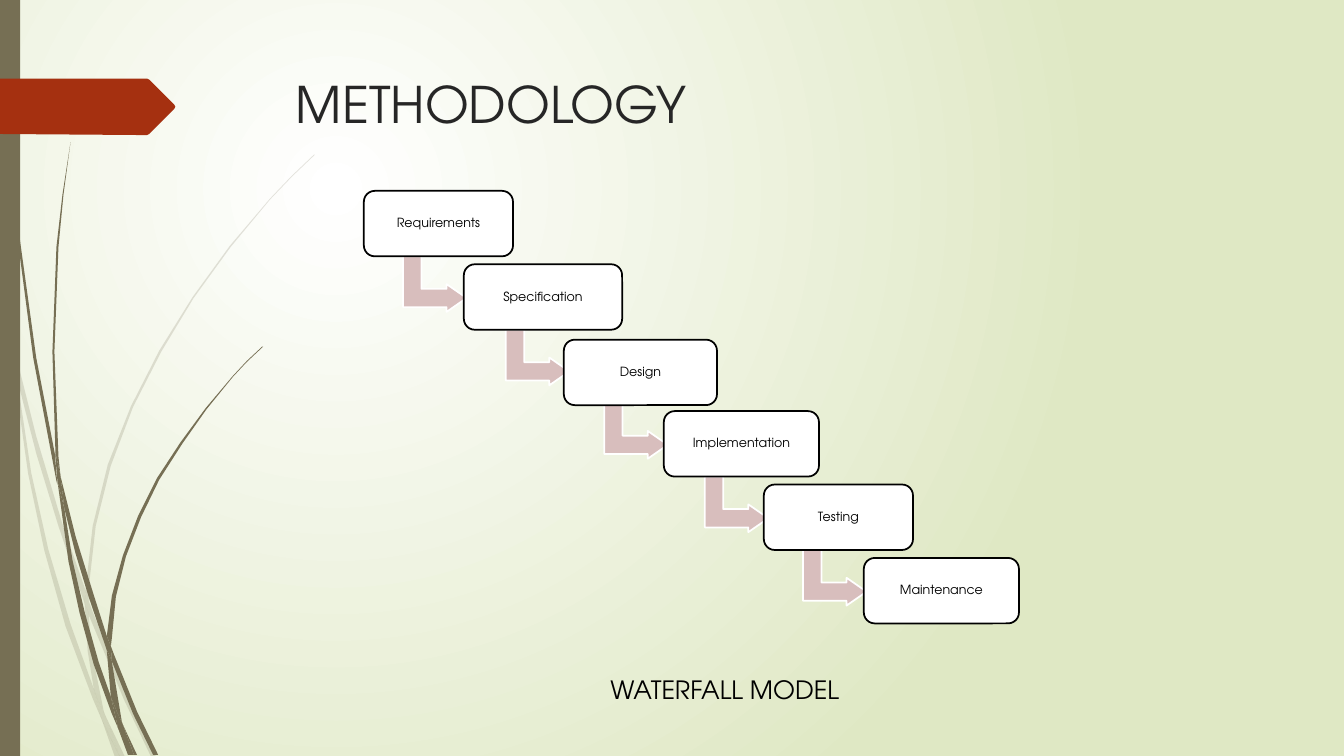
from dataclasses import dataclass

from lxml.etree import SubElement as add_sub
from pptx import Presentation
from pptx.dml.color import RGBColor as Rgb
from pptx.enum.shapes import MSO_SHAPE as Kind
from pptx.enum.text import MSO_ANCHOR as Anchor, PP_ALIGN as Align
from pptx.oxml.ns import qn
from pptx.util import Cm, Pt

HUES = {
    "white": "FFFFFF", "green": "DFE8C4", "olive": "766F54", "red": "A53010",
    "pink": "D8BEBD", "black": "000000", "title": "262626",
}
FONT = "TeX Gyre Adventor"
GRID = Cm(2.54) / 100  # outline points are hundredths of 2.54 cm

Points = list[tuple[int, int]]


@dataclass
class Step:
    name: str
    width: float
    dip: float = 0


@dataclass
class Label:
    text: str
    left: float
    top: float
    width: float
    height: float
    size: int
    hue: str
    align: Align


STEPS = [
    Step("Requirements", 3.76), Step("Specification", 3.99),
    Step("Design", 3.86, 0.05), Step("Implementation", 3.91),
    Step("Testing", 3.76), Step("Maintenance", 3.91),
]
LABELS = [
    Label("METHODOLOGY", 7.21, 1.73, 24.77, 3.56, 36, "title", Align.LEFT),
    Label("WATERFALL MODEL", 8.56, 16.87, 19.41, 1.02, 18, "black", Align.CENTER),
]

# Pale blades of grass
PALE: list[Points] = [
    [(11, 350), (9, 322), (0, 282), (0, 299), (10, 344)],
    [(58, 522), (84, 599), (85, 586), (62, 520), (36, 433), (14, 345), (17, 376), (36, 450)],
    [(92, 607), (88, 596), (88, 610), (123, 694), (150, 751), (155, 751), (127, 692)],
    [(119, 751), (124, 751), (105, 711)],
    [(93, 683), (70, 619), (48, 545), (31, 469), (17, 376), (11, 350), (28, 470),
     (44, 546), (65, 621), (92, 693), (101, 714), (99, 707)],
    [(84, 599), (87, 646), (93, 683), (96, 692), (105, 711), (103, 706), (91, 646),
     (88, 610), (88, 608)],
    [(88, 584), (95, 522), (110, 462), (132, 404), (160, 349), (192, 296), (229, 245),
     (268, 198), (290, 175), (312, 154), (312, 153), (289, 175), (268, 197), (228, 244),
     (191, 295), (158, 348), (130, 403), (107, 461), (92, 522), (85, 584), (85, 586),
     (88, 596)],
    [(101, 714), (114, 751), (119, 751)],
    [(88, 608), (88, 610), (88, 596), (85, 586), (84, 599)],
    [(96, 692), (93, 683), (99, 707), (101, 714), (119, 751), (105, 711)],
]
# Dark blades of grass
DARK: list[Points] = [
    [(7, 110), (17, 233), (33, 355), (56, 477), (57, 481), (55, 457), (55, 453),
     (36, 355), (19, 232), (8, 109), (5, 48), (4, 0), (3, 0), (4, 48)],
    [(88, 592), (106, 645), (106, 633), (106, 631), (93, 590), (75, 532), (60, 472),
     (64, 505), (75, 549)],
    [(113, 649), (110, 641), (111, 656), (132, 708), (152, 749), (157, 749), (136, 706)],
    [(110, 691), (98, 657), (84, 607), (72, 556), (64, 505), (57, 477), (68, 557),
     (79, 608), (93, 659), (111, 708), (117, 722), (116, 717)],
    [(60, 472), (58, 453), (54, 349), (58, 245), (63, 193), (70, 141), (62, 193),
     (56, 245), (52, 349), (55, 449), (60, 472)],
    [(133, 749), (136, 749), (122, 719)],
    [(57, 477), (64, 505), (60, 472), (55, 449), (55, 453)],
    [(111, 633), (115, 592), (125, 552), (140, 513), (158, 476), (181, 440), (205, 406),
     (231, 374), (245, 359), (261, 344), (260, 344), (245, 358), (231, 373), (204, 405),
     (179, 439), (156, 474), (137, 512), (122, 551), (111, 591), (106, 631), (110, 641)],
    [(117, 722), (127, 749), (131, 749)],
    [(106, 645), (110, 691), (116, 706), (122, 719), (121, 716), (111, 656), (109, 651)],
    [(106, 645), (109, 651), (111, 656), (110, 641), (106, 631), (106, 633)],
    [(116, 706), (110, 691), (116, 717), (117, 722), (130, 749), (133, 749), (122, 719)],
]
FLAG: Points = [(0, 78), (146, 78), (148, 79), (173, 104), (174, 106), (173, 108),
                (148, 133), (146, 134), (136, 134), (0, 133)]


def color(key: str) -> Rgb:
    return Rgb.from_string(HUES[key])


def paint(shape, fill: str, line: str | None = None) -> None:
    shape.shadow.inherit = False
    shape.fill.solid()
    shape.fill.fore_color.rgb = color(fill)
    if line:
        shape.line.color.rgb = color(line)
        shape.line.width = Pt(1.25)
    else:
        shape.line.fill.background()


def write(frame, text: str, size: int, hue: str, align: Align) -> None:
    frame.word_wrap = True
    para = frame.paragraphs[0]
    para.text = text
    para.alignment = align
    para.font.name = FONT
    para.font.size = Pt(size)
    para.font.color.rgb = color(hue)


def draw_back(slide) -> None:
    fill = slide.background.fill
    fill.gradient()
    for stop, key in zip(fill.gradient_stops, ("white", "green")):
        stop.color.rgb = color(key)
    grad = slide.element.find(".//" + qn("a:gradFill"))
    grad.remove(grad.find(qn("a:lin")))
    ring = add_sub(grad, qn("a:path"), {"path": "circle"})
    add_sub(ring, qn("a:fillToRect"),
            {"l": "50000", "t": "50000", "r": "100000", "b": "100000"})


def draw_form(shapes, points: Points, hue: str, alpha: int = 100) -> None:
    form = shapes.build_freeform(*points[0], scale=GRID)
    form.add_line_segments(points[1:], close=True)
    shape = form.convert_to_shape()
    paint(shape, hue)
    if alpha < 100:
        tint = shape.element.spPr.find(qn("a:solidFill"))[0]
        add_sub(tint, qn("a:alpha"), {"val": str(alpha * 1000)})


def draw_step(shapes, index: int, step: Step) -> None:
    left, top = 9.17 + 2.52 * index, 4.81 + 1.85 * index
    if index < len(STEPS) - 1:
        arrow = shapes.add_shape(Kind.BENT_UP_ARROW, Cm(left + 0.3 * step.width - 0.04),
                                 Cm(top + 1.55), Cm(1.4), Cm(1.6))
        arrow.rotation = 90
        for slot, value in enumerate((0.33, 0.25, 0.36)):
            arrow.adjustments[slot] = value
        paint(arrow, "pink", "white")
    box = shapes.add_shape(Kind.ROUNDED_RECTANGLE, Cm(left), Cm(top + step.dip),
                           Cm(step.width), Cm(1.65))
    paint(box, "white", "black")
    frame = box.text_frame
    frame.vertical_anchor = Anchor.MIDDLE
    frame.margin_left = frame.margin_right = Cm(0.1)
    frame.margin_top = frame.margin_bottom = Cm(0.1)
    write(frame, step.name, 9, "black", Align.CENTER)
    frame.paragraphs[0].line_spacing = 0.9


def draw_label(shapes, label: Label) -> None:
    box = shapes.add_textbox(Cm(label.left), Cm(label.top), Cm(label.width), Cm(label.height))
    write(box.text_frame, label.text, label.size, label.hue, label.align)


def main() -> None:
    deck = Presentation()
    deck.slide_width, deck.slide_height = Cm(33.87), Cm(19.05)
    slide = deck.slides.add_slide(deck.slide_layouts[6])
    shapes = slide.shapes

    # Backdrop, grass, side bar and flag
    draw_back(slide)
    for blade in PALE:
        draw_form(shapes, blade, "olive", 20)
    for blade in DARK:
        draw_form(shapes, blade, "olive")
    paint(shapes.add_shape(Kind.RECTANGLE, 0, 0, Cm(0.51), Cm(19.05)), "olive")
    draw_form(shapes, FLAG, "red")

    # Title, waterfall and caption
    title, caption = LABELS
    draw_label(shapes, title)
    for index, step in enumerate(STEPS):
        draw_step(shapes, index, step)
    draw_label(shapes, caption)

    deck.save("out.pptx")


if __name__ == "__main__":
    main()
